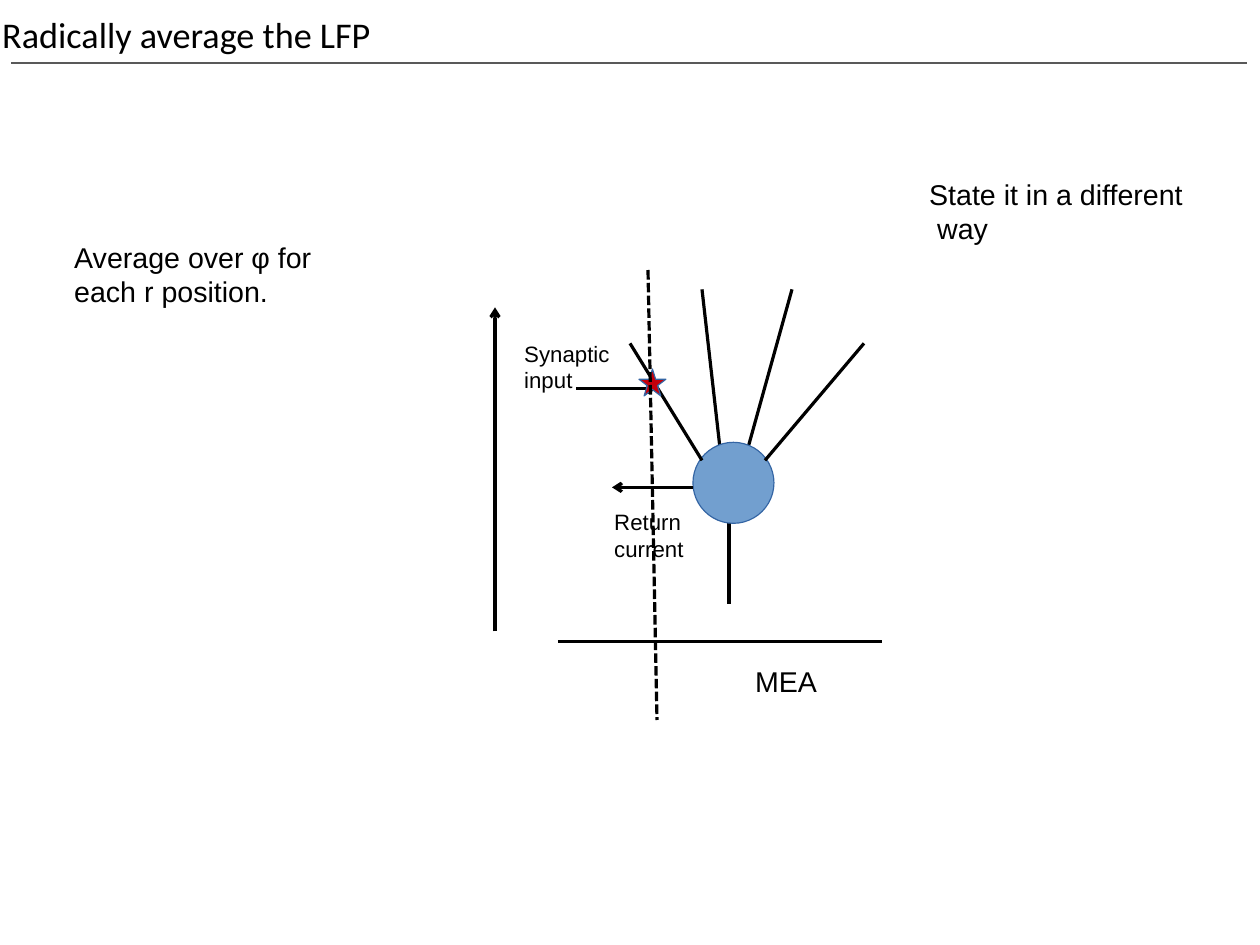
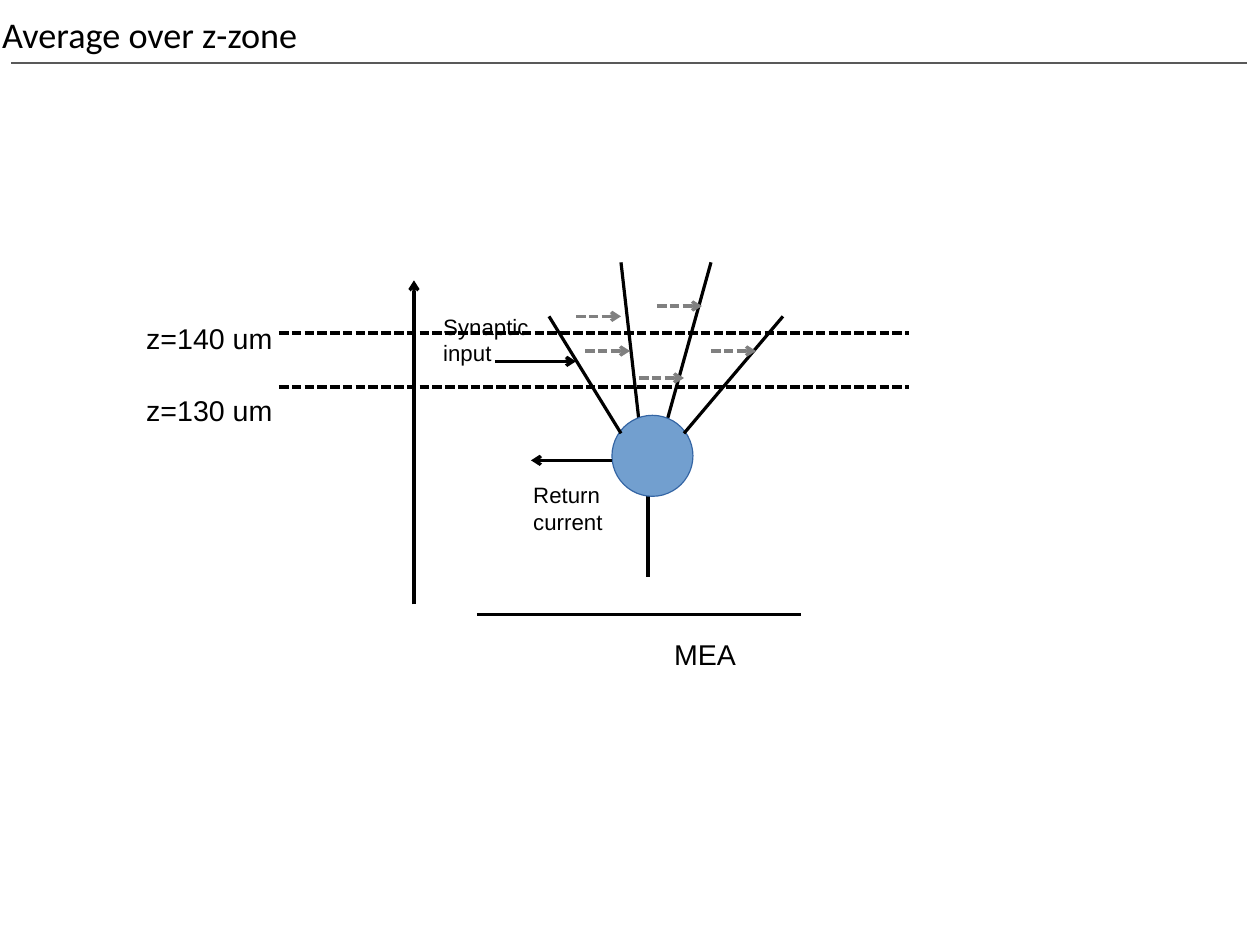
from lxml import etree
from pptx import Presentation
from pptx.dml.color import RGBColor
from pptx.enum.dml import MSO_LINE
from pptx.enum.shapes import MSO_CONNECTOR, MSO_SHAPE as Form
from pptx.enum.text import MSO_ANCHOR, MSO_AUTO_SIZE as Fit
from pptx.oxml import parse_xml
from pptx.oxml.ns import nsdecls, qn
from pptx.util import Cm, Pt

HUES = {
    "ink": "000000",
    "rule": "595959",
    "flow": "808080",
    "soma": "729FCF",
    "edge": "3465A4",
    "star": "C5000B",
}


def hue(name):
    return RGBColor.from_string(HUES[name])


def line(host, x1, y1, x2, y2, color="ink", width=0, dash=False, arrow=False):
    """Draw a straight line in cm; the arrowhead sits at the second point."""
    link = host.shapes.add_connector(
        MSO_CONNECTOR.STRAIGHT, Cm(x1), Cm(y1), Cm(x2), Cm(y2))
    link.line.color.rgb = hue(color)
    link.line.width = Pt(width)
    if dash:
        link.line.dash_style = MSO_LINE.SQUARE_DOT
    props = link.element.spPr
    if arrow:
        etree.SubElement(props.find(qn("a:ln")), qn("a:tailEnd"), type="arrow")
    etree.SubElement(props, qn("a:effectLst"))
    return link


def text(host, words, x, y, w, h, size=18, wrap=False):
    box = host.shapes.add_textbox(Cm(x), Cm(y), Cm(w), Cm(h))
    frame = box.text_frame
    frame.word_wrap = wrap
    frame.auto_size = Fit.SHAPE_TO_FIT_TEXT
    frame.text = words
    for para in frame.paragraphs:
        para.font.size = Pt(size)
        para.font.name = "Arial"
        para.font.color.rgb = hue("ink")


deck = Presentation()
deck.slide_width, deck.slide_height = Cm(28), Cm(21)

# Shared title style
layout = deck.slide_layouts[5]
head = layout.placeholders[0]
head.left, head.top, head.width, head.height = Cm(0.05), Cm(-0.2), Cm(23.8), Cm(1.9)
frame = head.text_frame
frame.margin_left = frame.margin_top = frame.margin_right = frame.margin_bottom = 0
frame.vertical_anchor = MSO_ANCHOR.MIDDLE
frame.auto_size = Fit.NONE
style = head.element.txBody.find(qn("a:lstStyle"))
style.append(parse_xml(
    f'<a:lvl1pPr {nsdecls("a")} algn="l"><a:defRPr sz="2280">'
    f'<a:solidFill><a:srgbClr val="{HUES["ink"]}"/></a:solidFill>'
    '<a:latin typeface="Calibri"/></a:defRPr></a:lvl1pPr>'))

# Each slide shows the same neuron, shifted by dx and dy
pages = []
for title, dx, dy in [("Radically average the LFP", 0, 0),
                      ("Average over z-zone", -1.8, -0.6)]:
    page = deck.slides.add_slide(layout)
    page.shapes.title.text = title
    pages.append(page)

    for x1, y1, x2, y2 in [(15.6, 6.43, 16, 9.96),
                           (16.6, 10.03, 17.6, 6.43),
                           (16.2, 11.63, 16.2, 13.43)]:
        line(page, x1 + dx, y1 + dy, x2 + dx, y2 + dy)

    cell = page.shapes.add_group_shape()
    soma = cell.shapes.add_shape(
        Form.OVAL, Cm(15.4 + dx), Cm(9.83 + dy), Cm(1.8), Cm(1.8))
    soma.shadow.inherit = False
    soma.fill.solid()
    soma.fill.fore_color.rgb = hue("soma")
    soma.line.color.rgb = hue("edge")
    soma.line.width = 0
    for x1, y1, x2, y2, arrow in [(14, 7.63, 15.6, 10.23, False),
                                  (12.8, 8.63, 14.6, 8.63, True),
                                  (17, 10.23, 19.2, 7.63, False),
                                  (15.4, 10.83, 13.6, 10.83, True)]:
        line(cell, x1 + dx, y1 + dy, x2 + dx, y2 + dy, arrow=arrow)
    text(cell, "Synaptic\ninput", 11.4 + dx, 7.43 + dy, 2.54, 1.37, size=14)
    text(cell, "Return\ncurrent", 13.4 + dx, 11.18 + dy, 2.06, 1.37, size=14)

    array = page.shapes.add_group_shape()
    line(array, 12.4 + dx, 14.25 + dy, 19.6 + dx, 14.25 + dy)
    text(array, "MEA", 16.53 + dx, 14.63 + dy, 1.88, 0.97)
    line(page, 11 + dx, 14.03 + dy, 11 + dx, 6.83 + dy, arrow=True)

radial, zone = pages

# The rule under the title belongs to the layout
rule = line(radial, 0.25, 1.4, 27.7, 1.4, color="rule", width=1.5)
layout.shapes.element.append(rule.element)

# Radial average
star = radial.shapes.add_shape(
    Form.STAR_5_POINT, Cm(14.2), Cm(8.2), Cm(0.6), Cm(0.6))
star.shadow.inherit = False
star.fill.solid()
star.fill.fore_color.rgb = hue("star")
star.line.color.rgb = hue("edge")
star.line.width = 0
line(radial, 14.4, 6, 14.6, 16, dash=True)
text(radial, "Average over φ for each r position.", 1.4, 5.2, 6, 1.68, wrap=True)
text(radial, "State it in a different  way", 20.4, 3.8, 6.2, 1.68, wrap=True)

# Zone between two heights
for y in (7.4, 8.6):
    line(zone, 6.2, y, 20.2, y, dash=True)
for words, y in [("z=140 um", 7), ("z=130 um", 8.6)]:
    text(zone, words, 3, y, 3.6, 0.97)
for x, y in [(12.8, 7.03), (13, 7.8), (14.6, 6.8), (15.8, 7.8), (14.2, 8.4)]:
    line(zone, x, y, x + 1, y, color="flow", dash=True, arrow=True)

deck.save("out.pptx")
